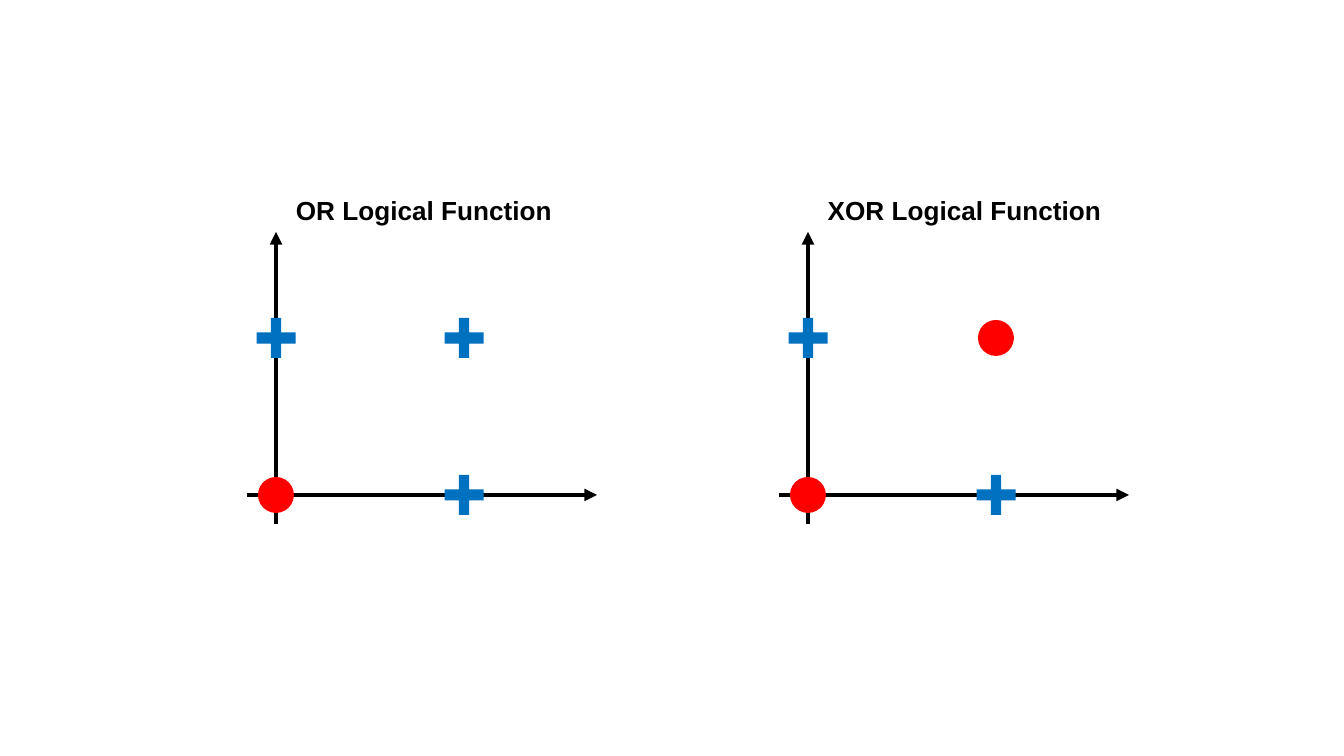
from dataclasses import dataclass

from pptx import Presentation
from pptx.dml.color import RGBColor
from pptx.enum.shapes import MSO_CONNECTOR, MSO_SHAPE
from pptx.enum.text import MSO_ANCHOR, MSO_AUTO_SIZE, PP_ALIGN
from pptx.oxml.ns import qn
from pptx.util import Pt
from lxml.etree import SubElement


@dataclass(frozen=True)
class Theme:
    ink: RGBColor = RGBColor(0, 0, 0)
    false_red: RGBColor = RGBColor(0xFF, 0, 0)
    true_blue: RGBColor = RGBColor(0, 0x70, 0xC0)
    font: str = "Arial"
    title_size: Pt = Pt(14)
    axis_width: Pt = Pt(2.25)


theme = Theme()
SCALE = 914400 / 134.4


def px(*lengths):
    return [round(length * SCALE) for length in lengths]


def add_text(parent, text, box, size, color, bold=False, align=PP_ALIGN.CENTER):
    label = parent.shapes.add_textbox(*px(*box))
    frame = label.text_frame
    frame.word_wrap = False
    frame.auto_size = MSO_AUTO_SIZE.SHAPE_TO_FIT_TEXT
    frame.vertical_anchor = MSO_ANCHOR.TOP
    paragraph = frame.paragraphs[0]
    paragraph.alignment = align
    run = paragraph.add_run()
    run.text = text
    run.font.name = theme.font
    run.font.size = size
    run.font.bold = bold
    run.font.color.rgb = color


deck = Presentation()
deck.slide_width, deck.slide_height = px(1344, 756)
slide = deck.slides.add_slide(deck.slide_layouts[6])

ORIGIN_Y = 495
STEP_X, STEP_Y = 188, 157
INPUTS = [(0, 0), (1, 0), (1, 1), (0, 1)]

functions = [
    ("OR Logical Function", 276, 292, lambda a, b: a | b),
    ("XOR Logical Function", 808, 309, lambda a, b: a ^ b),
]

for title, origin_x, title_width, logic in functions:
    plot = slide.shapes.add_group_shape()

    axes = [
        (origin_x - 29, ORIGIN_Y, origin_x + 321, ORIGIN_Y),
        (origin_x, ORIGIN_Y + 29, origin_x, ORIGIN_Y - 263),
    ]
    for ends in axes:
        axis = plot.shapes.add_connector(MSO_CONNECTOR.STRAIGHT, *px(*ends))
        axis.line.color.rgb = theme.ink
        axis.line.width = theme.axis_width
        SubElement(axis.line._get_or_add_ln(), qn("a:tailEnd"), type="triangle")
        SubElement(axis._element.spPr, qn("a:effectLst"))

    for a, b in INPUTS:
        center_x = origin_x + a * STEP_X
        center_y = ORIGIN_Y - b * STEP_Y
        if logic(a, b):
            kind, width, height, color = MSO_SHAPE.CROSS, 39, 40, theme.true_blue
        else:
            kind, width, height, color = MSO_SHAPE.OVAL, 36, 36, theme.false_red
        marker = plot.shapes.add_shape(
            kind, *px(center_x - width / 2, center_y - height / 2, width, height)
        )
        if kind == MSO_SHAPE.CROSS:
            marker.adjustments[0] = 0.37
        marker.shadow.inherit = False
        marker.fill.solid()
        marker.fill.fore_color.rgb = color
        marker.line.fill.background()

    add_text(
        plot, title, (origin_x + 2, 188, title_width, 46),
        size=theme.title_size, color=theme.ink, bold=True,
    )

deck.save("out.pptx")
